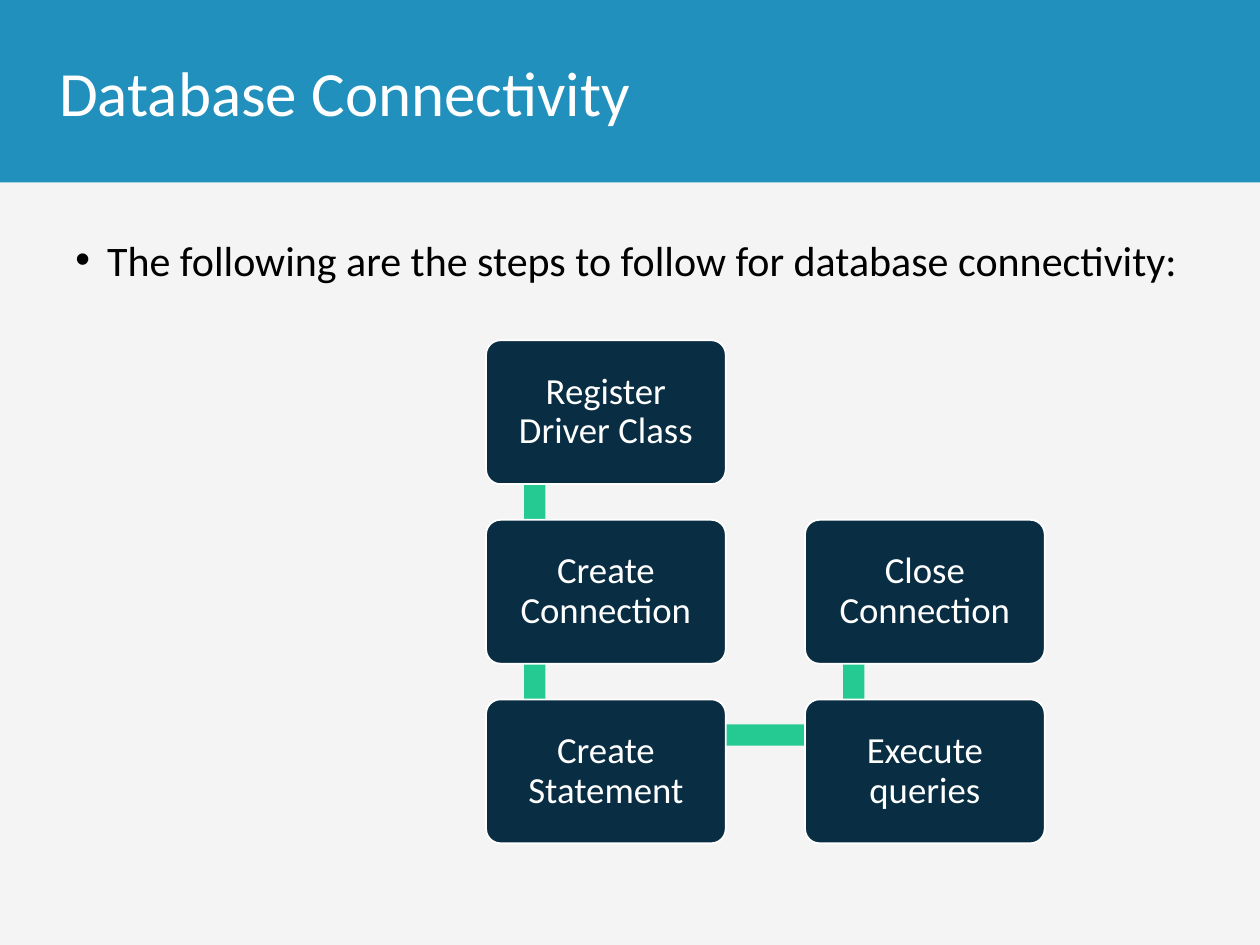
from itertools import pairwise

from lxml.etree import SubElement
from pptx import Presentation
from pptx.dml.color import RGBColor
from pptx.enum.shapes import MSO_SHAPE
from pptx.enum.text import MSO_ANCHOR, PP_ALIGN
from pptx.oxml.ns import qn
from pptx.util import Cm, Pt

BOX_WIDTH, BOX_HEIGHT = 4.83, 2.9
LEFT, TOP = 9.8, 6.86
COLUMN_STEP, ROW_STEP = 6.43, 3.62
LINK_X, LINK_Y = 0.98, 0.72  # where a link meets a box, from its corner
LINK_WIDTH = 0.43

# Text, column and row, in the order of the steps
STEPS = [
    ("Register Driver Class", 0, 0),
    ("Create Connection", 0, 1),
    ("Create Statement", 0, 2),
    ("Execute queries", 1, 2),
    ("Close Connection", 1, 1),
]


def color(value):
    return RGBColor.from_string(value)


def write(frame, text, *, size, ink, font="Calibri", align=PP_ALIGN.LEFT,
          anchor=MSO_ANCHOR.MIDDLE, spacing=None, bullet=None):
    frame.word_wrap = True
    frame.vertical_anchor = anchor
    para = frame.paragraphs[0]
    para.alignment = align
    para.line_spacing = spacing
    if bullet:
        properties = para._p.get_or_add_pPr()
        properties.set("marL", str(Cm(0.64)))
        properties.set("indent", str(-Cm(0.64)))
        SubElement(properties, qn("a:buFont"), typeface="Arial")
        SubElement(properties, qn("a:buChar"), char=bullet)
    span = para.add_run()
    span.text = text
    span.font.name = font
    span.font.size = Pt(size)
    span.font.color.rgb = color(ink)


def corner(column, row):
    return LEFT + column * COLUMN_STEP, TOP + row * ROW_STEP


class StepsSlide:
    navy, green, blue = "092E43", "24CA92", "2190BC"
    white, black, paper = "FFFFFF", "000000", "F4F4F5"

    def __init__(self, deck):
        self.page = deck.slides.add_slide(deck.slide_layouts[5])
        fill = self.page.background.fill
        fill.solid()
        fill.fore_color.rgb = color(self.paper)

    def shape(self, kind, left, top, width, height, fill):
        shape = self.page.shapes.add_shape(
            kind, Cm(left), Cm(top), Cm(width), Cm(height))
        shape.shadow.inherit = False
        shape.fill.solid()
        shape.fill.fore_color.rgb = color(fill)
        shape.line.fill.background()
        return shape

    def title(self, text):
        band = self.shape(MSO_SHAPE.RECTANGLE, 0, 0, 25.4, 3.68, self.blue)
        title = self.page.shapes.title
        band._element.addnext(title._element)
        title.left, title.top = Cm(0.94), Cm(0)
        title.width, title.height = Cm(21.9), Cm(3.68)
        write(title.text_frame, text, size=36, ink=self.white)

    def bullet(self, text):
        box = self.page.shapes.add_textbox(
            Cm(1.27), Cm(4.09), Cm(22.8), Cm(3.05))
        write(box.text_frame, text, size=24, ink=self.black, spacing=1.5,
              align=PP_ALIGN.JUSTIFY, anchor=MSO_ANCHOR.TOP, bullet="•")

    def link(self, start, end):
        """Draw a bar between the link points of two boxes."""
        (x1, y1), (x2, y2) = sorted([start, end])
        half = LINK_WIDTH / 2
        left, top = x1 + LINK_X, min(y1, y2) + LINK_Y
        if x1 == x2:
            place = left - half, top, LINK_WIDTH, abs(y2 - y1)
        else:
            place = left, top - half, x2 - x1, LINK_WIDTH
        self.shape(MSO_SHAPE.RECTANGLE, *place, self.green)

    def step(self, text, left, top):
        box = self.shape(MSO_SHAPE.ROUNDED_RECTANGLE, left, top,
                         BOX_WIDTH, BOX_HEIGHT, self.navy)
        box.adjustments[0] = 0.1
        box.line.color.rgb = color(self.white)
        box.line.width = Pt(1)
        frame = box.text_frame
        frame.margin_left = frame.margin_right = Cm(0.23)
        frame.margin_top = frame.margin_bottom = Cm(0.23)
        write(frame, text, size=21, ink=self.white, spacing=0.9,
              align=PP_ALIGN.CENTER)


def main():
    deck = Presentation()
    deck.slide_width, deck.slide_height = Cm(25.4), Cm(19.05)
    slide = StepsSlide(deck)
    slide.title("Database Connectivity")
    slide.bullet("The following are the steps to follow for "
                 "database connectivity:")
    corners = [corner(column, row) for _, column, row in STEPS]
    for start, end in pairwise(corners):
        slide.link(start, end)
    for (text, _, _), place in zip(STEPS, corners):
        slide.step(text, *place)
    deck.save("out.pptx")


if __name__ == "__main__":
    main()
